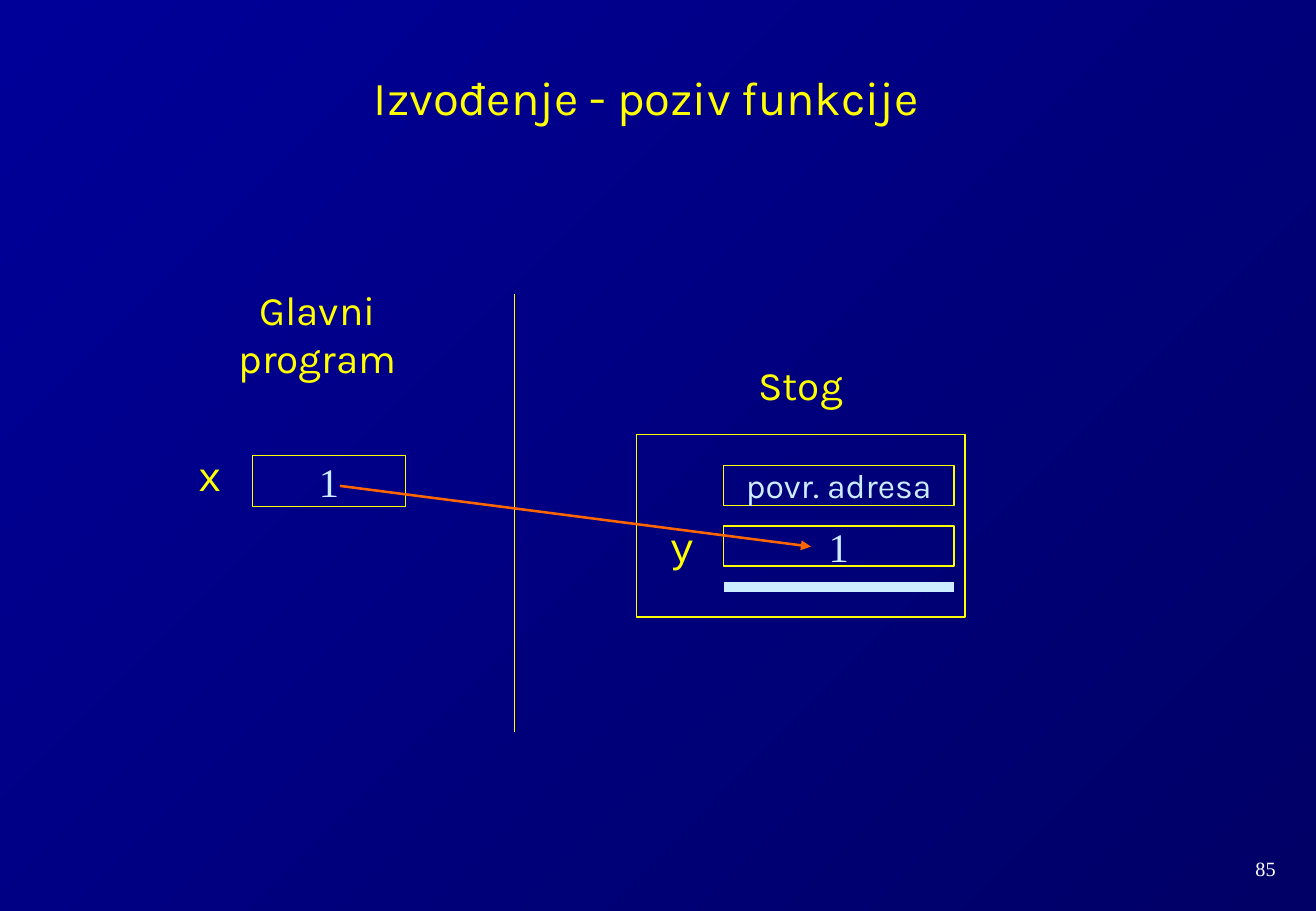
from lxml.etree import SubElement
from pptx import Presentation
from pptx.dml.color import RGBColor
from pptx.enum.shapes import MSO_CONNECTOR as CONN, MSO_SHAPE as SHAPE
from pptx.enum.text import MSO_ANCHOR as ANCHOR, PP_ALIGN as ALIGN
from pptx.oxml.ns import qn
from pptx.util import Pt

PX = 9144  # 100 px to the inch
COLORS = {"yellow": "FFFF00", "ice": "CCECFF", "orange": "FF6600",
          "white": "FFFFFF", "navy": "000066", "blue": "000099"}
SANS, SERIF, MONO = "Karla", "Times New Roman", "Courier New"


def rgb(name):
    return RGBColor.from_string(COLORS[name])


def px(*lengths):
    return [n * PX for n in lengths]


def set_text(shape, text, size, font, color, anchor=ANCHOR.MIDDLE, wrap=False):
    tf = shape.text_frame
    tf.word_wrap = wrap
    tf.vertical_anchor = anchor
    tf.margin_left = tf.margin_right = 10 * PX
    tf.margin_top = tf.margin_bottom = 5 * PX
    p = tf.paragraphs[0]
    p.text = text
    p.alignment = ALIGN.CENTER
    p.font.size = Pt(size)
    p.font.name = font
    p.font.color.rgb = rgb(color)


def add_label(s, box, text, size=24, font=SANS, color="yellow", **layout):
    set_text(s.shapes.add_textbox(*px(*box)), text, size, font, color, **layout)


def add_frame(s, box):
    frame = s.shapes.add_shape(SHAPE.RECTANGLE, *px(*box))
    frame.shadow.inherit = False
    frame.fill.background()
    frame.line.color.rgb = rgb("yellow")
    frame.line.width = Pt(0.75)
    return frame


def add_cell(s, box, text, size=24, font=SERIF):
    set_text(add_frame(s, box), text, size, font, "ice")


def add_line(s, start, end, color, width, arrow=False):
    line = s.shapes.add_connector(CONN.STRAIGHT, *px(*start, *end))
    line.line.color.rgb = rgb(color)
    line.line.width = Pt(width)
    if arrow:
        SubElement(line.line._get_or_add_ln(), qn("a:tailEnd"), type="triangle")
    SubElement(line._element.spPr, qn("a:effectLst"))


def set_background(s):
    fill = s.background.fill
    fill.gradient()
    fill.gradient_angle = 135
    for stop, color in zip(fill.gradient_stops, ("navy", "blue")):
        stop.color.rgb = rgb(color)


def add_main_program(s, left, top):
    add_label(s, (left, top, 253, 33), "Glavni program")
    add_label(s, (left + 18, top + 117, 36, 33), "x", font=MONO)
    add_cell(s, (left + 73, top + 117, 126, 42), "1")


def add_stack(s, left, top, width, height):
    cell_x, cell_w, cell_h, pitch = left + 72, 190, 33, 50
    address_y = top + 25
    argument_y = address_y + pitch
    base_y = argument_y + pitch
    add_label(s, (left + 9, top - 58, 253, 33), "Stog")
    add_frame(s, (left, top, width, height))
    add_cell(s, (cell_x, address_y, cell_w, cell_h), "povr. adresa", 20, SANS)
    add_cell(s, (cell_x, argument_y, cell_w, cell_h), "1")
    add_label(s, (left + 18, argument_y, 36, cell_h), "y", font=MONO)
    add_line(s, (cell_x, base_y), (cell_x + cell_w, base_y), "ice", 6)


def main():
    prs = Presentation()
    prs.slide_width, prs.slide_height = px(1084, 750)
    s = prs.slides.add_slide(prs.slide_layouts[6])
    set_background(s)
    add_label(s, (54, 25, 957, 83), "Izvođenje - poziv funkcije", 28,
              anchor=ANCHOR.BOTTOM, wrap=True)
    add_main_program(s, 135, 258)
    add_line(s, (424, 242), (424, 603), "yellow", 0.75)
    add_stack(s, 524, 358, 271, 150)
    add_line(s, (280, 400), (668, 450), "orange", 1.5, arrow=True)
    add_label(s, (1002, 700, 81, 30), "85", 12, SERIF, "white", wrap=True)
    prs.save("out.pptx")


if __name__ == "__main__":
    main()
